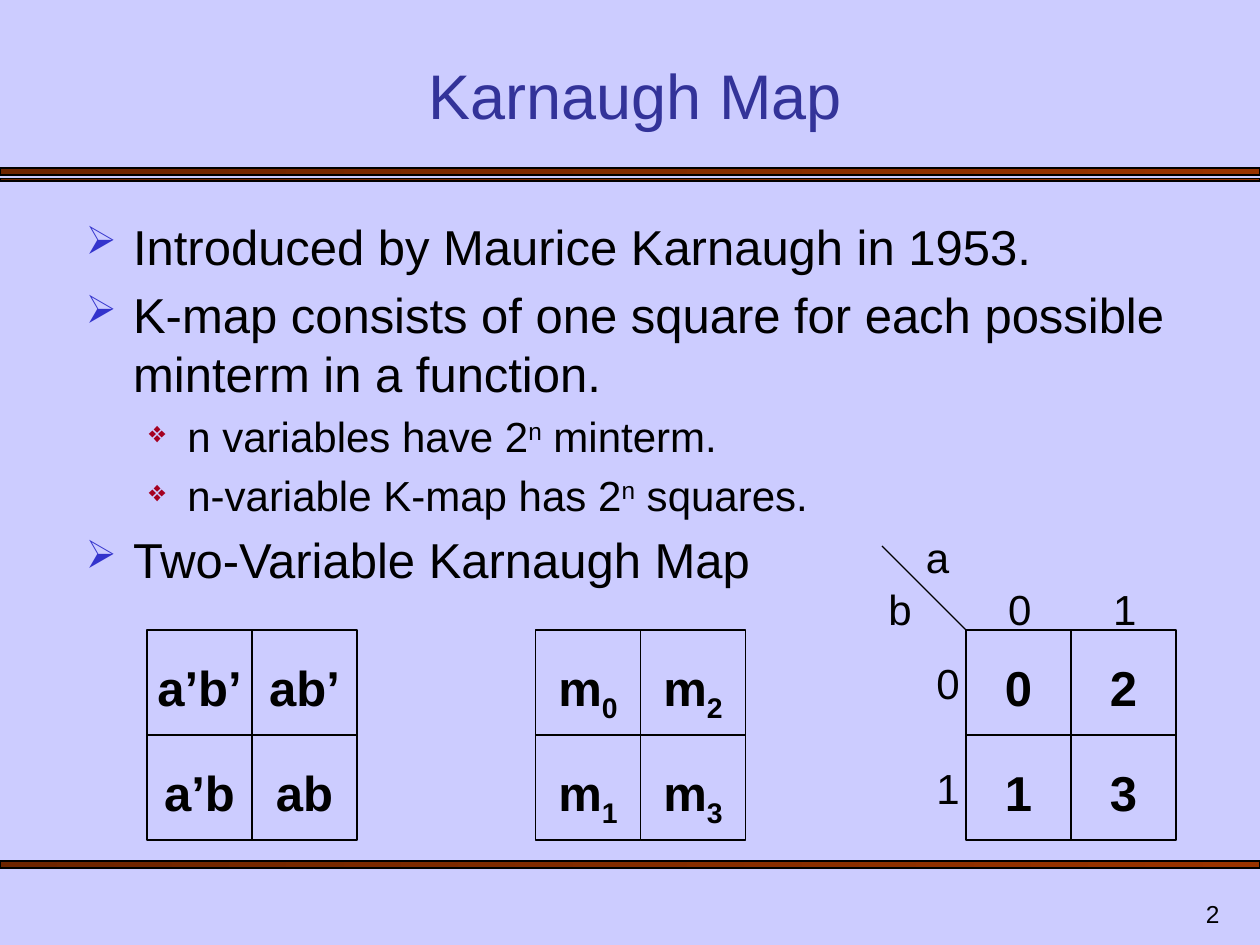
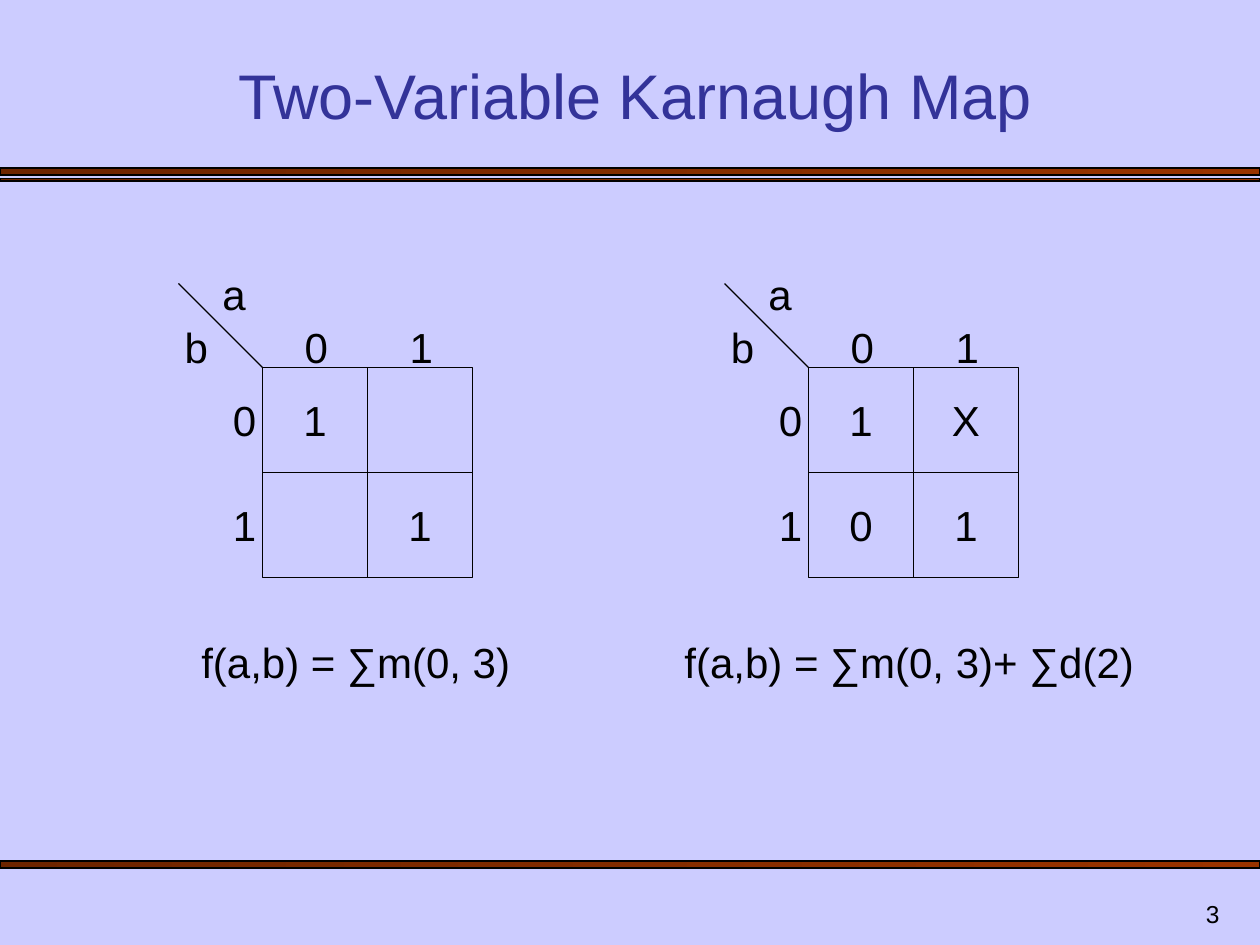
"""Build two slides on Karnaugh maps."""
import lxml.etree
import pptx
import pptx.dml.color
import pptx.enum.shapes
import pptx.enum.text
import pptx.oxml.ns
import pptx.util

Pt = pptx.util.Pt
Align = pptx.enum.text.PP_ALIGN
Anchor = pptx.enum.text.MSO_ANCHOR
qn = pptx.oxml.ns.qn

HUES = {
    "back": "CCCCFF",
    "title": "333399",
    "ink": "000000",
    "dark": "6D2400",
    "rust": "993300",
    "arrow": "3333CC",
    "gem": "A50021",
}
LEVELS = [
    {"mark": "➢", "hue": "arrow", "scale": 80, "left": 27, "hang": 27, "size": 28},
    {"mark": "❖", "hue": "gem", "scale": 70, "left": 58, "hang": 22, "size": 24},
]
BANDS = [(96, 4), (102, 1.5), (492, 4)]
FONT = "Arial"
CELL = 60
SUB, SUP = -25, 30


def hue(name):
    return pptx.dml.color.RGBColor.from_string(HUES[name])


class Deck:
    def __init__(self):
        self.prs = pptx.Presentation()
        self.prs.slide_width, self.prs.slide_height = Pt(720), Pt(540)
        self.slide = None

    def start(self, title, number):
        self.slide = self.prs.slides.add_slide(self.prs.slide_layouts[6])
        fill = self.slide.background.fill
        fill.solid()
        fill.fore_color.rgb = hue("back")
        for top, high in BANDS:
            self.band(top, high)
        self.text(554, 504, 150, 30, [str(number)], 14, Align.RIGHT, Anchor.BOTTOM)
        self.text(42, 30, 642, 49, [title], 36, Align.CENTER, Anchor.BOTTOM, ink="title")

    def rect(self, x, y, wide, high):
        kind = pptx.enum.shapes.MSO_SHAPE.RECTANGLE
        shape = self.slide.shapes.add_shape(kind, Pt(x), Pt(y), Pt(wide), Pt(high))
        shape.shadow.inherit = False
        shape.fill.background()
        self.stroke(shape)
        return shape

    def stroke(self, shape):
        shape.line.color.rgb = hue("ink")
        shape.line.width = Pt(0.75)

    def band(self, top, high):
        fill = self.rect(0, top, 720, high).fill
        fill.gradient()
        fill.gradient_angle = 0
        for stop, name in zip(fill.gradient_stops, ("dark", "rust")):
            stop.color.rgb = hue(name)

    def line(self, x, y, end_x, end_y):
        kind = pptx.enum.shapes.MSO_CONNECTOR.STRAIGHT
        link = self.slide.shapes.add_connector(kind, Pt(x), Pt(y), Pt(end_x), Pt(end_y))
        self.stroke(link)
        lxml.etree.SubElement(link._element.spPr, qn("a:effectLst"))

    def frame(self, x, y, wide, high, anchor=Anchor.TOP):
        box = self.slide.shapes.add_textbox(Pt(x), Pt(y), Pt(wide), Pt(high))
        box.text_frame.word_wrap = True
        box.text_frame.vertical_anchor = anchor
        return box.text_frame

    def runs(self, para, parts, size, bold=False, ink="ink"):
        for part in parts:
            words, shift = part if isinstance(part, tuple) else (part, 0)
            run = para.add_run()
            run.text = words
            run.font.name = FONT
            run.font.size = Pt(size)
            run.font.bold = bold
            run.font.color.rgb = hue(ink)
            if shift:
                run._r.get_or_add_rPr().set("baseline", str(shift * 1000))

    def text(self, x, y, wide, high, parts, size=24, align=Align.LEFT,
             anchor=Anchor.TOP, bold=False, ink="ink"):
        para = self.frame(x, y, wide, high, anchor).paragraphs[0]
        para.alignment = align
        self.runs(para, parts, size, bold, ink)

    def bullet(self, para, level):
        props = para._p.get_or_add_pPr()
        props.set("marL", str(Pt(level["left"])))
        props.set("indent", str(-Pt(level["hang"])))
        tint = lxml.etree.SubElement(props, qn("a:buClr"))
        lxml.etree.SubElement(tint, qn("a:srgbClr"), val=HUES[level["hue"]])
        lxml.etree.SubElement(props, qn("a:buSzPct"), val=str(level["scale"] * 1000))
        lxml.etree.SubElement(props, qn("a:buChar"), char=level["mark"])

    def body(self, items):
        frame = self.frame(42, 120, 642, 354)
        for place, (depth, parts) in enumerate(items):
            para = frame.add_paragraph() if place else frame.paragraphs[0]
            level = LEVELS[depth]
            para.level = depth
            if place:
                para.space_before = Pt(level["size"] * 0.2)
            self.bullet(para, level)
            self.runs(para, parts, level["size"])

    def grid(self, x, y, rows, size=24, bold=False):
        for row, cells in enumerate(rows):
            for col, parts in enumerate(cells):
                left, top = x + col * CELL, y + row * CELL
                self.rect(left, top, CELL, CELL)
                if parts:
                    pad = 6 if len(parts[0]) > 3 else 0
                    self.text(left - pad, top + 12, CELL + 2 * pad, size * 1.2 + 7.2,
                              parts, size, Align.CENTER, bold=bold)

    def axes(self, x, y):
        self.line(x - 48, y - 48, x, y)
        self.text(x - 30, y - 60, 36, 36, ["a"])
        self.text(x - 60, y - 30, 36, 36, ["b"], align=Align.RIGHT)
        for step in range(2):
            self.text(x + 17 + step * CELL, y - 30, 31, 36, [str(step)])
            self.text(x - 24, y + 12 + step * CELL, 31, 36, [str(step)])


def main():
    deck = Deck()

    deck.start("Karnaugh Map", 2)
    deck.body([
        (0, ["Introduced by Maurice Karnaugh in 1953."]),
        (0, ["K-map consists of one square for each possible minterm in a function."]),
        (1, ["n variables have 2", ("n", SUP), " minterm."]),
        (1, ["n-variable K-map has 2", ("n", SUP), " squares."]),
        (0, ["Two-Variable Karnaugh Map"]),
    ])
    order = [(0, 2), (1, 3)]
    terms = [[["a’b’"], ["ab’"]], [["a’b"], ["ab"]]]
    names = [[["m", (str(n), SUB)] for n in row] for row in order]
    codes = [[[str(n)] for n in row] for row in order]
    for x, rows in ((84, terms), (306, names), (552, codes)):
        deck.grid(x, 360, rows, 28, True)
    deck.axes(552, 360)

    deck.start("Two-Variable Karnaugh Map", 3)
    for x, rows in ((150, ["1 ", " 1"]), (462, ["1X", "01"])):
        deck.grid(x, 210, [[sign.split() for sign in row] for row in rows])
        deck.axes(x, 210)
    deck.text(108, 360, 210, 36, ["f(a,b) = ∑m(0, 3)"])
    deck.text(384, 360, 276, 36, ["f(a,b) = ∑m(0, 3)+ ∑d(2)"])

    deck.prs.save("out.pptx")


if __name__ == "__main__":
    main()
